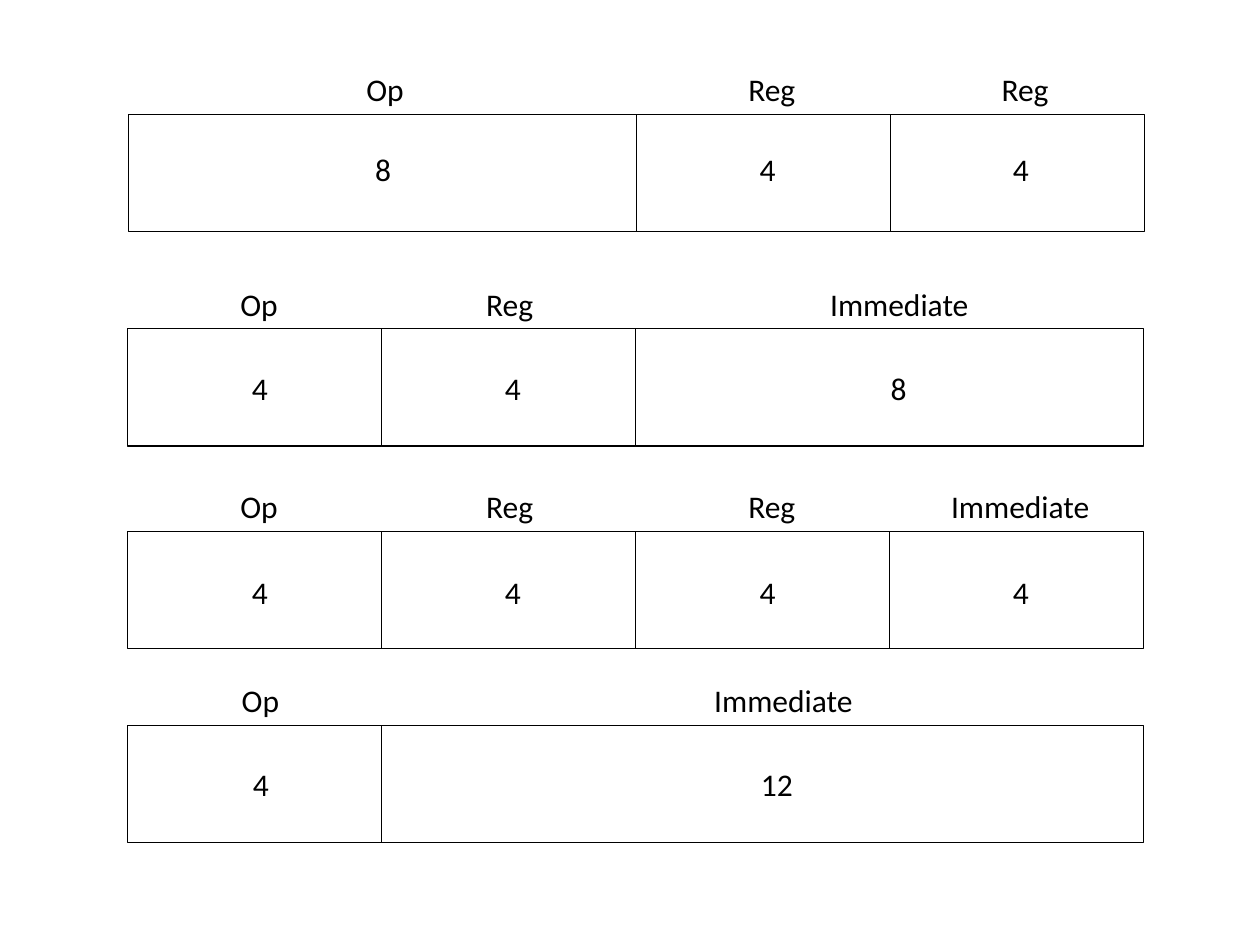
"""Draw four 16-bit instruction formats as rows of labelled bit fields."""
from pptx import Presentation
from pptx.dml.color import RGBColor
from pptx.enum import shapes, text
from pptx.util import Inches, Pt

BLACK = RGBColor(0, 0, 0)
FONT = "Calibri"
BIT_WIDTH = 0.504
FIELD_HEIGHT = 0.93
TEXT_HEIGHT = 0.4
LABEL_WIDTHS = {"Op": 0.5, "Reg": 0.58, "Immediate": 1.35}

# Each format: left, top, top of the bit counts, and its fields
# as (name, bits, left of the name, left of the bit count).
FORMATS = [
    (1.02, 0.91, 1.14, [("Op", 8, 2.81, 2.88), ("Reg", 4, 5.84, 5.93),
                        ("Reg", 4, 7.85, 7.94)]),
    (1.01, 2.61, 2.88, [("Op", 4, 1.81, 1.9), ("Reg", 4, 3.76, 3.91),
                        ("Immediate", 8, 6.49, 6.97)]),
    (1.01, 4.22, 4.5, [("Op", 4, 1.81, 1.9), ("Reg", 4, 3.76, 3.91),
                       ("Reg", 4, 5.84, 5.93), ("Immediate", 4, 7.45, 7.94)]),
    (1.01, 5.76, 6.02, [("Op", 4, 1.82, 1.91), ("Immediate", 12, 5.57, 5.94)]),
]


def add_field(page, left, top, width):
    box = page.shapes.add_shape(
        shapes.MSO_SHAPE.RECTANGLE,
        Inches(left), Inches(top), Inches(width), Inches(FIELD_HEIGHT))
    box.shadow.inherit = False
    box.fill.background()
    box.line.color.rgb = BLACK
    box.line.width = Pt(0.75)


def add_text(page, words, left, top, width, *, wrap=False, size=18, color=BLACK):
    box = page.shapes.add_textbox(
        Inches(left), Inches(top), Inches(width), Inches(TEXT_HEIGHT))
    frame = box.text_frame
    frame.word_wrap = wrap
    frame.auto_size = text.MSO_AUTO_SIZE.SHAPE_TO_FIT_TEXT
    span = frame.paragraphs[0].add_run()
    span.text = words
    span.font.name = FONT
    span.font.size = Pt(size)
    span.font.color.rgb = color


def add_format(page, left, top, bits_top, fields):
    for name, bits, name_left, bits_left in fields:
        width = bits * BIT_WIDTH
        add_field(page, left, top, width)
        add_text(page, name, name_left, top - TEXT_HEIGHT, LABEL_WIDTHS[name],
                 wrap=name == "Immediate")
        add_text(page, str(bits), bits_left, bits_top, 0.33 if bits < 10 else 0.46)
        left += width


def main():
    deck = Presentation()
    deck.slide_width, deck.slide_height = Inches(10), Inches(7.5)
    page = deck.slides.add_slide(deck.slide_layouts[6])
    for row in FORMATS:
        add_format(page, *row)
    deck.save("out.pptx")


if __name__ == "__main__":
    main()
